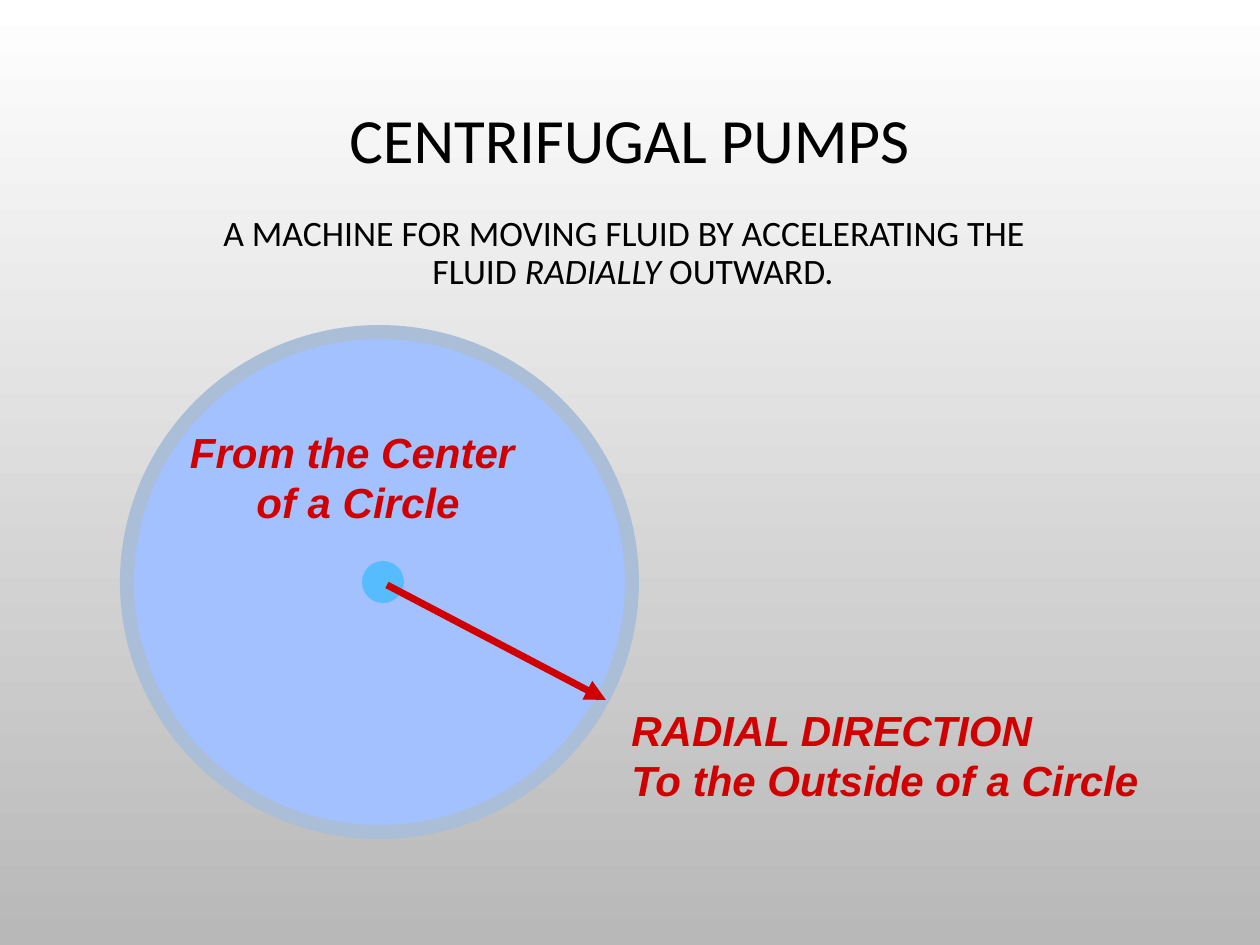
import pptx
import pptx.util
import pptx.dml.color
import pptx.enum.shapes
import pptx.enum.text
import lxml.etree

SCALE = 914400 // 126
RED = "D00000"
ALIGN = pptx.enum.text.PP_ALIGN
ANCHOR = pptx.enum.text.MSO_ANCHOR
FIT = pptx.enum.text.MSO_AUTO_SIZE
OVAL = pptx.enum.shapes.MSO_SHAPE.OVAL
STRAIGHT = pptx.enum.shapes.MSO_CONNECTOR.STRAIGHT


def px(n):
    return pptx.util.Emu(n * SCALE)


def rgb(code):
    return pptx.dml.color.RGBColor.from_string(code)


def add(parent, tag, **attrs):
    name = pptx.oxml.ns.qn(tag)
    return lxml.etree.SubElement(parent, name, attrs)


def style(font, name, size, color):
    font.name = name
    font.size = pptx.util.Pt(size)
    font.color.rgb = rgb(color)


def back(slide):
    fill = slide.background.fill
    fill.gradient()
    fill.gradient_angle = 270
    for stop, pos, color in zip(fill.gradient_stops, (0, 1), ("FFFFFF", "B8B8B8")):
        stop.position = pos
        stop.color.rgb = rgb(color)


def fill_holder(holder, box, parts, size, anchor):
    """Place a placeholder and set its one paragraph from (text, italic) parts."""
    holder.left, holder.top, holder.width, holder.height = map(px, box)
    frame = holder.text_frame
    frame.auto_size = FIT.NONE
    frame.vertical_anchor = anchor
    para = frame.paragraphs[0]
    para.alignment = ALIGN.CENTER
    para.line_spacing = 0.9
    para.space_before = pptx.util.Pt(0)
    for text, slant in parts:
        run = para.add_run()
        run.text = text
        style(run.font, "Calibri", size, "000000")
        if slant:
            run.font.italic = True
    return para


def head(slide, x, y):
    title, body = slide.placeholders
    fill_holder(title, (x, y, 1071, 115), [("CENTRIFUGAL PUMPS", False)],
                36, ANCHOR.MIDDLE)
    parts = [("A MACHINE FOR MOVING FLUID BY ACCELERATING THE FLUID ", False),
             ("RADIALLY", True), (" OUTWARD.", False)]
    para = fill_holder(body, (x + 84, y + 123, 892, 117), parts, 20.4, ANCHOR.TOP)
    props = para._p.get_or_add_pPr()
    props.set("marL", str(px(18)))
    props.set("indent", str(px(-18)))
    add(props, "a:buNone")


def disc(slide, x, y, w, h, color):
    oval = slide.shapes.add_shape(OVAL, px(x), px(y), px(w), px(h))
    oval.shadow.inherit = False
    oval.fill.solid()
    oval.fill.fore_color.rgb = rgb(color)
    oval.line.fill.background()
    return oval


def arrow(slide, x, y, dx, dy):
    line = slide.shapes.add_connector(STRAIGHT, px(x), px(y), px(x + dx), px(y + dy))
    line.line.color.rgb = rgb(RED)
    line.line.width = pptx.util.Pt(4)
    add(line.line._get_or_add_ln(), "a:tailEnd", type="triangle")
    add(line._element.spPr, "a:effectLst")


def label(slide, x, y, w, text, align):
    box = slide.shapes.add_textbox(px(x), px(y), px(w), px(113))
    frame = box.text_frame
    frame.word_wrap = False
    frame.auto_size = FIT.SHAPE_TO_FIT_TEXT
    frame.text = text
    for para in frame.paragraphs:
        para.alignment = align
        font = para.runs[0].font
        style(font, "Arial", 24, RED)
        font.bold = font.italic = True


def wheel(slide, x, y, w, h):
    """Draw the circle with its hub, radial arrow and two labels."""
    rim = disc(slide, x, y, w, h, "A2C1FE")
    rim.line.color.rgb = rgb("AABED7")
    rim.line.width = pptx.util.Pt(8)
    label(slide, x + 50, y + 88, 362, "From the Center \nof a Circle", ALIGN.CENTER)
    disc(slide, x + 235, y + 229, 42, 42, "56BCFE")
    arrow(slide, x + 260, y + 253, 219, 115)
    label(slide, x + 492, y + 366, 534,
          "RADIAL DIRECTION\nTo the Outside of a Circle", ALIGN.LEFT)


def main():
    deck = pptx.Presentation()
    deck.slide_width, deck.slide_height = px(1260), px(945)
    slide = deck.slides.add_slide(deck.slide_layouts[1])
    back(slide)
    head(slide, 94, 86)
    wheel(slide, 127, 332, 505, 500)
    deck.save("out.pptx")


if __name__ == "__main__":
    main()
